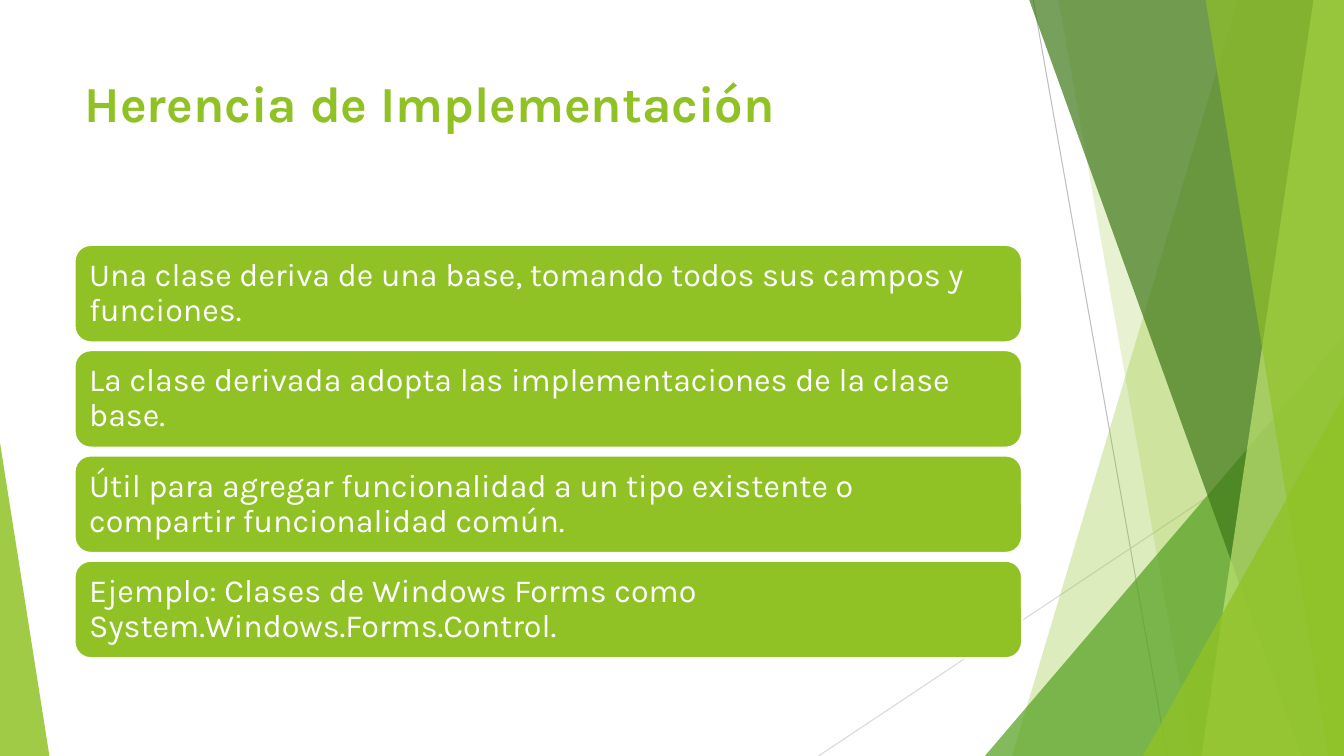
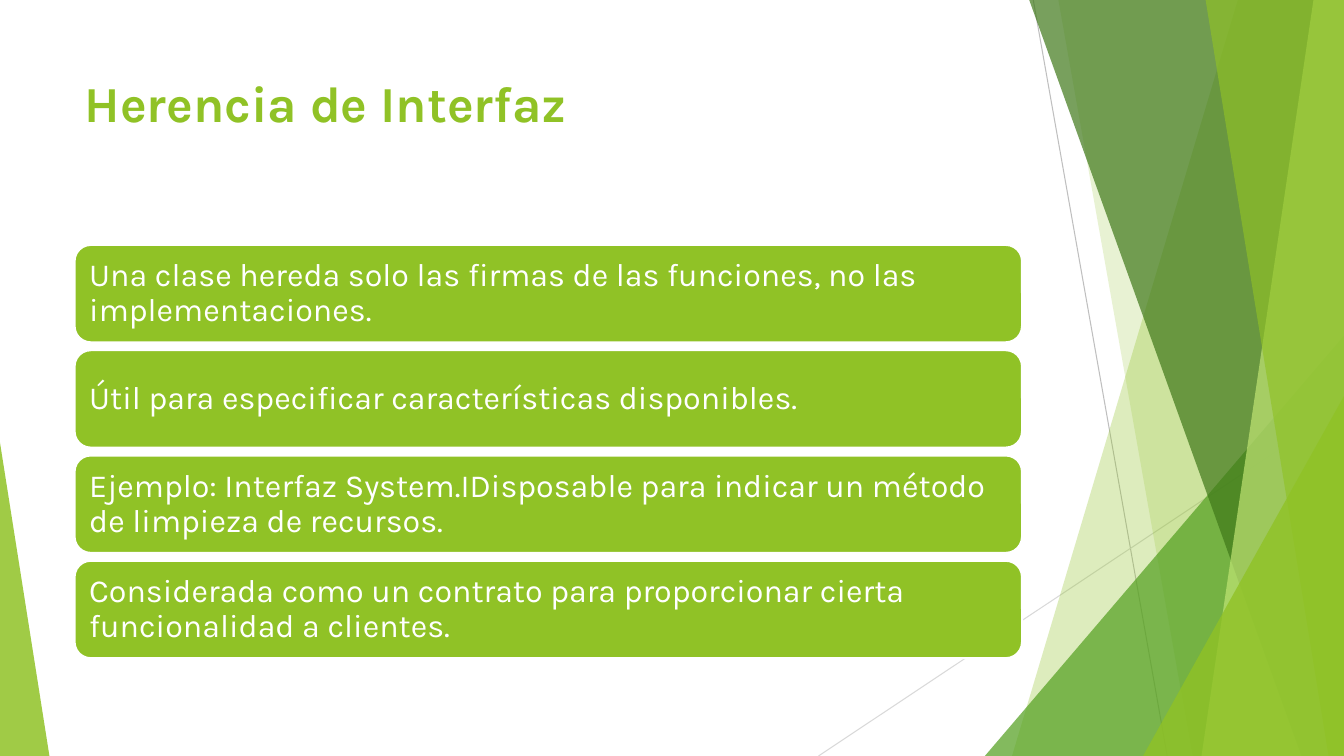
from dataclasses import dataclass

import lxml.etree
import pptx
import pptx.dml.color
import pptx.enum.shapes
import pptx.enum.text
import pptx.oxml.ns
import pptx.util

SHAPE = pptx.enum.shapes.MSO_SHAPE
ANCHOR = pptx.enum.text.MSO_ANCHOR


@dataclass(frozen=True)
class Theme:
    font: str = "Karla"
    lime: str = "90C226"
    green: str = "54A021"
    forest: str = "3F7819"
    pale: str = "C0E474"
    white: str = "FFFFFF"
    gray: str = "BFBFBF"
    light_gray: str = "D9D9D9"
    title_size: int = 36
    card_size: int = 23
    hairline: float = 0.75
    border: float = 1.5


@dataclass(frozen=True)
class Box:
    left: float
    top: float
    width: float
    height: float

    def point(self, across, down):
        return (round(self.left + self.width * across / 100),
                round(self.top + self.height * down / 100))

    def region(self, left, top, width, height):
        return Box(*self.point(left, top),
                   round(self.width * width / 100), round(self.height * height / 100))

    def frame(self):
        return self.left, self.top, self.width, self.height


THEME = Theme()
PAGE = Box(0, 0, pptx.util.Inches(13.33), pptx.util.Inches(7.5))
TITLE = PAGE.region(5.55, 8.93, 70.5, 19.2)
CARDS = PAGE.region(5.55, 32.4, 70.5, 54.67)
CARD_GAP = 0.08

SLIDES = [
    ("Herencia de Implementación", [
        "Una clase deriva de una base, tomando todos sus campos y funciones.",
        "La clase derivada adopta las implementaciones de la clase base.",
        "Útil para agregar funcionalidad a un tipo existente o compartir funcionalidad común.",
        "Ejemplo: Clases de Windows Forms como System.Windows.Forms.Control.",
    ]),
    ("Herencia de Interfaz", [
        "Una clase hereda solo las firmas de las funciones, no las implementaciones.",
        "Útil para especificar características disponibles.",
        "Ejemplo: Interfaz System.IDisposable para indicar un método de limpieza de recursos.",
        "Considerada como un contrato para proporcionar cierta funcionalidad a clientes.",
    ]),
]


def rgb(color):
    return pptx.dml.color.RGBColor.from_string(color)


def paint(shape, color, opacity=100):
    shape.shadow.inherit = False
    shape.line.fill.background()
    shape.fill.solid()
    shape.fill.fore_color.rgb = rgb(color)
    if opacity < 100:
        tone = shape.element.spPr.find(".//" + pptx.oxml.ns.qn("a:srgbClr"))
        alpha = lxml.etree.SubElement(tone, pptx.oxml.ns.qn("a:alpha"))
        alpha.set("val", str(opacity * 1000))


def add_line(page, start, end, color):
    line = page.shapes.add_connector(
        pptx.enum.shapes.MSO_CONNECTOR.STRAIGHT, *start, *end)
    line.line.color.rgb = rgb(color)
    line.line.width = pptx.util.Pt(THEME.hairline)
    lxml.etree.SubElement(line.element.spPr, pptx.oxml.ns.qn("a:effectLst"))


def add_facet(page, box, top_edge, bottom_edge, color, opacity):
    outline = page.shapes.build_freeform(*box.point(top_edge, 0))
    corners = [(100, 0), (100, 100), (bottom_edge, 100)]
    outline.add_line_segments([box.point(*corner) for corner in corners], close=True)
    paint(outline.convert_to_shape(), color, opacity)


def add_triangle(page, box, peak, color, opacity):
    triangle = page.shapes.add_shape(SHAPE.ISOSCELES_TRIANGLE, *box.frame())
    triangle.adjustments[0] = peak
    paint(triangle, color, opacity)


def add_backdrop(page, box):
    add_line(page, box.point(76.88, 0), box.point(86.85, 100), THEME.gray)
    add_line(page, box.point(100, 53.73), box.point(60.9, 100), THEME.light_gray)
    add_facet(page, box, 92.1, 75.3, THEME.lime, 30)
    add_facet(page, box, 78.75, 88.73, THEME.lime, 20)
    add_triangle(page, box.region(73.28, 44.4, 26.72, 55.6), 1, THEME.green, 72)
    add_facet(page, box, 76.58, 96.83, THEME.forest, 70)
    add_facet(page, box, 97.73, 89.4, THEME.pale, 70)
    add_facet(page, box, 89.7, 98.85, THEME.lime, 65)
    add_triangle(page, box.region(85.05, 52.4, 14.95, 47.6), 1, THEME.lime, 80)
    add_triangle(page, box.region(0, 58.53, 3.68, 41.47), 0, THEME.lime, 85)


def write(shape, text, size, color, anchor, bold=False):
    frame = shape.text_frame
    frame.word_wrap = True
    frame.vertical_anchor = anchor
    para = frame.paragraphs[0]
    para.alignment = pptx.enum.text.PP_ALIGN.LEFT
    span = para.add_run()
    span.text = text
    span.font.name = THEME.font
    span.font.size = pptx.util.Pt(size)
    span.font.bold = bold
    span.font.color.rgb = rgb(color)
    return frame, para


def add_title(page, box, text):
    title = page.shapes.add_textbox(*box.frame())
    write(title, text, THEME.title_size, THEME.lime, ANCHOR.TOP, bold=True)


def add_card(page, box, text):
    card = page.shapes.add_shape(SHAPE.ROUNDED_RECTANGLE, *box.frame())
    paint(card, THEME.lime)
    card.line.color.rgb = rgb(THEME.white)
    card.line.width = pptx.util.Pt(THEME.border)
    frame, para = write(card, text, THEME.card_size, THEME.white, ANCHOR.MIDDLE)
    frame.margin_left = frame.margin_right = pptx.util.Inches(0.1)
    para.line_spacing = 0.9


def add_cards(page, box, texts):
    height = 100 / (len(texts) + CARD_GAP * (len(texts) - 1))
    for row, text in enumerate(texts):
        add_card(page, box.region(0, row * height * (1 + CARD_GAP), 100, height), text)


def add_page(deck, title, texts):
    page = deck.slides.add_slide(deck.slide_layouts[6])
    add_backdrop(page, PAGE)
    add_title(page, TITLE, title)
    add_cards(page, CARDS, texts)


def main():
    deck = pptx.Presentation()
    deck.slide_width, deck.slide_height = PAGE.width, PAGE.height
    for title, texts in SLIDES:
        add_page(deck, title, texts)
    deck.save("out.pptx")


if __name__ == "__main__":
    main()
